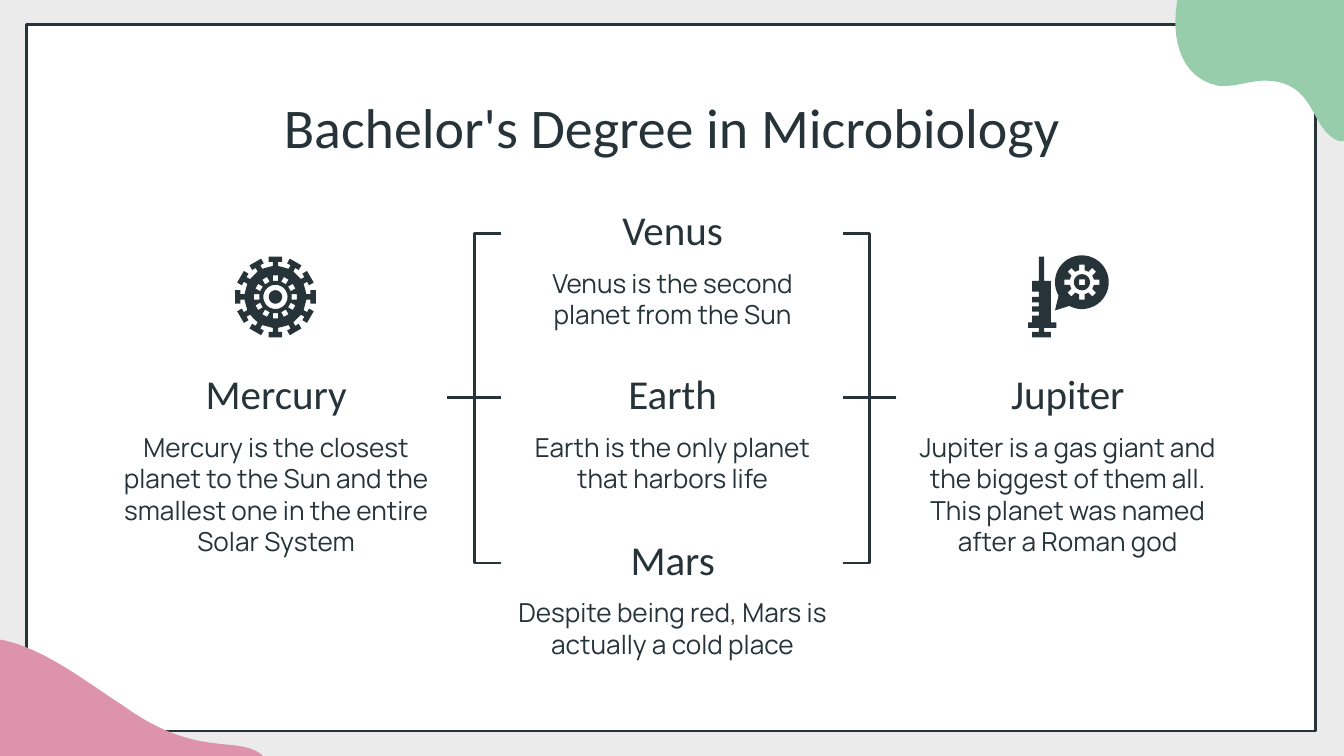
import math

from lxml import etree
from pptx import Presentation
from pptx import util as u
from pptx.dml import color
from pptx.enum import shapes, text
from pptx.oxml import ns

COLORS = {"ink": "263339", "paper": "FFFFFF", "back": "EBEBEB", "green": "98CDAB", "pink": "DC93AB"}
RGB = {name: color.RGBColor.from_string(value) for name, value in COLORS.items()}


def polar(center, angle, radius, offset=0):
    cos, sin = math.cos(math.radians(angle)), math.sin(math.radians(angle))
    return center[0] + radius * cos - offset * sin, center[1] + radius * sin + offset * cos


def draw_outline(contours, fill):
    builder = None
    for contour in contours:
        points = [(u.Inches(x), u.Inches(y)) for x, y in contour]
        if builder is None:
            builder = page.shapes.build_freeform(*points[0])
        else:
            builder.move_to(*points[0])
        builder.add_line_segments(points[1:], close=True)
    outline = builder.convert_to_shape()
    outline.shadow.inherit = False
    outline.fill.solid()
    outline.fill.fore_color.rgb = RGB[fill]
    outline.line.fill.background()


deck = Presentation()
deck.slide_width = u.Inches(10)
deck.slide_height = deck.slide_width * 9 // 16
page = deck.slides.add_slide(deck.slide_layouts[6])
page.background.fill.solid()
page.background.fill.fore_color.rgb = RGB["back"]

frame = page.shapes.add_shape(
    shapes.MSO_SHAPE.RECTANGLE, u.Inches(0.2), u.Inches(0.18), u.Inches(9.59), u.Inches(5.26))
frame.shadow.inherit = False
frame.fill.solid()
frame.fill.fore_color.rgb = RGB["paper"]
frame.line.color.rgb = RGB["ink"]
frame.line.width = u.Pt(1.5)

blobs = [
    ("green", (9.48, -0.95), [
        (9.19, -0.95, 8.92, -0.72, 8.8, -0.15), (8.7, 0.13, 8.71, 0.57, 9.07, 0.64),
        (9.08, 0.64, 9.09, 0.64, 9.11, 0.64), (9.21, 0.64, 9.31, 0.6, 9.42, 0.6),
        (9.8, 0.61, 9.74, 0.96, 9.96, 1.05), (9.98, 1.05, 9.99, 1.05, 10, 1.05),
        (10.25, 1.05, 10.4, 0.77, 10.43, 0.54), (10.59, -0.2, 10, -0.95, 9.48, -0.95)]),
    ("pink", (1.94, 5.61), [
        (1.75, 5.47, 1.46, 5.65, 0.9, 5.24),
        (0.54, 5.01, 0.16, 4.68, -0.3, 4.75), (-0.52, 4.79, -0.72, 4.95, -0.76, 5.17),
        (-0.8, 5.46, -0.58, 5.74, -0.27, 5.97), (0.14, 6.26, 0.7, 6.46, 1.02, 6.48),
        (1.45, 6.53, 2.22, 6.19, 2, 5.68), (1.98, 5.65, 1.96, 5.63, 1.94, 5.61)]),
]
for fill, start, curves in blobs:
    points = [start]
    for x1, y1, x2, y2, x3, y3 in curves:
        x0, y0 = points[-1]
        for step in range(1, 17):
            t = step / 16
            s = 1 - t
            a, b, c, d = s ** 3, 3 * s * s * t, 3 * s * t * t, t ** 3
            points.append((a * x0 + b * x1 + c * x2 + d * x3, a * y0 + b * y1 + c * y2 + d * y3))
    draw_outline([points], fill)

planets = [
    ("Venus", "Venus is the second planet from the Sun", 3.73, 1.49, 0.7),
    ("Earth", "Earth is the only planet that harbors life", 3.73, 2.71, 0.7),
    ("Mars", "Despite being red, Mars is actually a cold place", 3.73, 3.94, 0.7),
    ("Mercury", "Mercury is the closest planet to the Sun and the smallest one in the entire Solar System",
     0.78, 2.71, 1.15),
    ("Jupiter", "Jupiter is a gas giant and the biggest of them all. This planet was named after a Roman god",
     6.67, 2.71, 1.15),
]
top, bottom = text.MSO_ANCHOR.TOP, text.MSO_ANCHOR.BOTTOM
labels = [("Bachelor's Degree in Microbiology", 0.78, 0.59, 8.44, 0.7, 30, "Calibri", top)]
for name, fact, left, y, height in planets:
    labels.append((name, left, y, 2.55, 0.5, 22, "Calibri", bottom))
    labels.append((fact, left, y + 0.4, 2.55, height, 14, "Manrope", top))

for words, left, y, width, height, size, font, anchor in labels:
    box = page.shapes.add_textbox(u.Inches(left), u.Inches(y), u.Inches(width), u.Inches(height))
    body = box.text_frame
    body.word_wrap = True
    body.vertical_anchor = anchor
    body.margin_top = body.margin_bottom = u.Inches(0.1)
    para = body.paragraphs[0]
    para.text = words
    para.alignment = text.PP_ALIGN.CENTER
    para.font.size = u.Pt(size)
    para.font.name = font
    para.font.color.rgb = RGB["ink"]

middle = 2.96
for outer, inner in [(3.33, 3.73), (6.67, 6.27)]:
    for y in (1.74, middle, 4.19):
        kind = shapes.MSO_CONNECTOR.STRAIGHT if y == middle else shapes.MSO_CONNECTOR.ELBOW
        branch = page.shapes.add_connector(
            kind, u.Inches(outer), u.Inches(middle), u.Inches(inner), u.Inches(y))
        branch.line.color.rgb = RGB["ink"]
        branch.line.width = u.Pt(1.5)
        etree.SubElement(branch._element.spPr, ns.qn("a:effectLst"))

syringe_center = 7.75
syringe_right = [(0.02, 1.91), (0.02, 2.09), (0.07, 2.09), (0.07, 2.4), (0.11, 2.4), (0.11, 2.44),
                 (0.02, 2.44), (0.02, 2.47), (0.07, 2.47), (0.07, 2.51)]
syringe_left = [(0.07, 2.51), (0.07, 2.47), (0.02, 2.47), (0.02, 2.44), (0.1, 2.44), (0.1, 2.4), (0.07, 2.4)]
for notch_bottom, notch_top in [(2.35, 2.32), (2.28, 2.25), (2.21, 2.17)]:
    syringe_left += [(0.07, notch_bottom), (0.02, notch_bottom), (0.02, notch_top), (0.07, notch_top)]
syringe_left += [(0.07, 2.09), (0.02, 2.09), (0.02, 1.91)]
draw_outline([[(syringe_center + x, y) for x, y in syringe_right]
              + [(syringe_center - x, y) for x, y in syringe_left]], "ink")

germ = (8.05, 2.1)
bubble = [polar(germ, angle, 0.2) for angle in range(150, 479, 8)] + [(7.85, 2.31)]
gear_tooth = [(0.09, -0.02), (0.13, -0.02), (0.13, 0.02), (0.09, 0.02)]
gear = [polar(germ, angle, *corner) for angle in range(0, 360, 45) for corner in gear_tooth]
hub = [polar(germ, angle, 0.06) for angle in range(0, 360, 10)]
hole = [polar(germ, angle, 0.03) for angle in range(45, 360, 90)]
draw_outline([hub, hole], "ink")
draw_outline([bubble, gear], "ink")

virus = (2.05, 2.21)
spike = [(0.23, -0.02), (0.26, -0.02), (0.26, -0.05), (0.3, -0.05),
         (0.3, 0.05), (0.26, 0.05), (0.26, 0.02), (0.23, 0.02), (0.22, 0.06)]
dot = [(0.12, -0.02), (0.16, -0.02), (0.16, 0.02), (0.12, 0.02)]
spokes = range(0, 360, 30)
shell = [polar(virus, angle, *corner) for angle in spokes for corner in spike]
dots = [[polar(virus, angle, *corner) for corner in dot] for angle in spokes]
ring, core = [[polar(virus, angle, radius) for angle in range(0, 360, 10)] for radius in (0.09, 0.05)]
draw_outline([shell, ring] + dots, "ink")
draw_outline([core], "ink")

deck.save("out.pptx")
